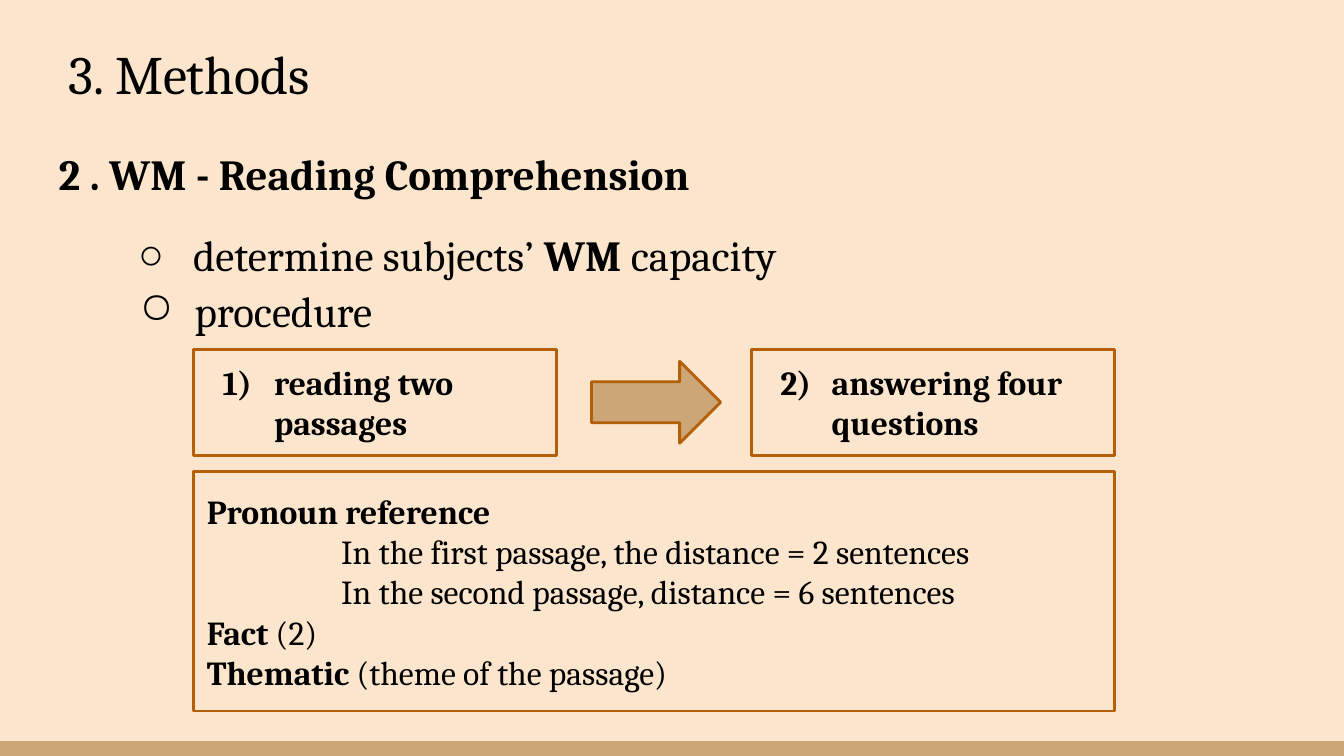
"""Build the slide on the reading comprehension method."""
from lxml import etree
from pptx import Presentation
from pptx.dml.color import RGBColor
from pptx.enum.shapes import MSO_SHAPE
from pptx.enum.text import MSO_ANCHOR, MSO_AUTO_SIZE, PP_ALIGN
from pptx.oxml.ns import qn
from pptx.util import Cm, Pt

RECTANGLE, ARROW = MSO_SHAPE.RECTANGLE, MSO_SHAPE.RIGHT_ARROW
TOP, MIDDLE = MSO_ANCHOR.TOP, MSO_ANCHOR.MIDDLE
LEFT, CENTER = PP_ALIGN.LEFT, PP_ALIGN.CENTER
NO_AUTOFIT = MSO_AUTO_SIZE.NONE

THEME = {
    "font": "Cambria", "text": "000000", "paper": "FCE5CD",
    "accent": "CCA677", "line": "B45F06", "line_width": 1.5,
    "title": 29, "body": 23, "box": 18,
}

CIRCLE = ("a:buChar", {"char": "○"})
BULLET = {"margin": 2.54, "hanging": 1.04, "bullet": CIRCLE}
INDENTED = {"margin": 2.54}

TITLE = [([("3. Methods", False)], {"align": CENTER})]
BODY = [
    ([("2 . WM - Reading Comprehension", True)], {}),
    ([("determine subjects’ ", False), ("WM", True), (" capacity", False)],
     {**BULLET, "before": 16}),
]
PROCEDURE = [([("procedure", False)], BULLET)]
STEPS = ["reading two passages", "answering four questions"]
QUESTIONS = [
    ([("Pronoun reference", True)], {}),
    ([("In the first passage, the distance = 2 sentences", False)], INDENTED),
    ([("In the second passage, distance = 6 sentences", False)], INDENTED),
    ([("Fact ", True), ("(2)", False)], {}),
    ([("Thematic ", True), ("(theme of the passage)", False)], {}),
]

SLIDE_WIDTH, SLIDE_HEIGHT, BAR_HEIGHT = 25.4, 14.29, 0.28
BOX_LEFT, BOX_RIGHT, STEP_TOP = 3.66, 21.06, 6.6
STEP_WIDTH, STEP_HEIGHT = 6.86, 2.01
ARROW_LEFT, ARROW_WIDTH, ARROW_HEIGHT = 11.18, 2.44, 1.55
QUESTIONS_TOP, QUESTIONS_HEIGHT = 8.92, 4.52


def color(name):
    return RGBColor.from_string(THEME[name])


def place(shape, left, top, width, height):
    box = {"left": left, "top": top, "width": width, "height": height}
    for name, value in box.items():
        setattr(shape, name, Cm(value))


def add_bullet(properties, bullet):
    bullet_color = etree.SubElement(properties, qn("a:buClr"))
    etree.SubElement(bullet_color, qn("a:srgbClr"), val=THEME["text"])
    tag, attributes = bullet
    etree.SubElement(properties, qn(tag), attributes)


def write(shape, paragraphs, size, anchor=TOP):
    frame = shape.text_frame
    inset = Cm(0.25)
    frame_format = {
        "word_wrap": True, "auto_size": NO_AUTOFIT, "vertical_anchor": anchor,
        "margin_left": inset, "margin_right": inset,
        "margin_top": inset, "margin_bottom": inset,
    }
    for name, value in frame_format.items():
        setattr(frame, name, value)
    for index, (runs, style) in enumerate(paragraphs):
        paragraph = frame.add_paragraph() if index else frame.paragraphs[0]
        paragraph_format = {
            "alignment": style.get("align", LEFT), "line_spacing": 1.0,
            "space_before": Pt(style.get("before", 0)), "space_after": Pt(0),
        }
        for name, value in paragraph_format.items():
            setattr(paragraph, name, value)
        properties = paragraph._p.get_or_add_pPr()
        properties.set("marL", str(Cm(style.get("margin", 0))))
        properties.set("indent", str(-Cm(style.get("hanging", 0))))
        if "bullet" in style:
            add_bullet(properties, style["bullet"])
        else:
            etree.SubElement(properties, qn("a:buNone"))
        for text, bold in runs:
            run = paragraph.add_run()
            run.text = text
            run_format = {"name": THEME["font"], "size": Pt(THEME[size]), "bold": bold}
            for name, value in run_format.items():
                setattr(run.font, name, value)
            run.font.color.rgb = color("text")


def add_shape(slide, kind, box, fill, outlined=True):
    shape = slide.shapes.add_shape(kind, *map(Cm, box))
    shape.shadow.inherit = False
    shape.fill.solid()
    shape.fill.fore_color.rgb = color(fill)
    if outlined:
        shape.line.color.rgb = color("line")
        shape.line.width = Pt(THEME["line_width"])
    else:
        shape.line.fill.background()
    return shape


presentation = Presentation()
presentation.slide_width, presentation.slide_height = Cm(SLIDE_WIDTH), Cm(SLIDE_HEIGHT)
slide = presentation.slides.add_slide(presentation.slide_layouts[1])
slide.background.fill.solid()
slide.background.fill.fore_color.rgb = color("paper")

bar = (0, SLIDE_HEIGHT - BAR_HEIGHT, SLIDE_WIDTH, BAR_HEIGHT)
add_shape(slide, RECTANGLE, bar, "accent", outlined=False)

title, body = slide.placeholders
place(title, 0, 0.51, 7.16, 2.01)
write(title, TITLE, "title")
place(body, 0.86, 2.54, 23.67, 3)
write(body, BODY, "body")

step_lefts = (BOX_LEFT, BOX_RIGHT - STEP_WIDTH)
for number, (text, left) in enumerate(zip(STEPS, step_lefts), start=1):
    step = add_shape(slide, RECTANGLE, (left, STEP_TOP, STEP_WIDTH, STEP_HEIGHT), "paper")
    numbering = ("a:buAutoNum", {"type": "arabicParenR", "startAt": str(number)})
    style = {"margin": 1.27, "hanging": 0.97, "bullet": numbering}
    write(step, [([(text, True)], style)], "box", MIDDLE)

arrow_top = STEP_TOP + (STEP_HEIGHT - ARROW_HEIGHT) / 2
add_shape(slide, ARROW, (ARROW_LEFT, arrow_top, ARROW_WIDTH, ARROW_HEIGHT), "accent")

questions_box = (BOX_LEFT, QUESTIONS_TOP, BOX_RIGHT - BOX_LEFT, QUESTIONS_HEIGHT)
questions = add_shape(slide, RECTANGLE, questions_box, "paper")
write(questions, QUESTIONS, "box", MIDDLE)

procedure = slide.shapes.add_textbox(*map(Cm, (0.89, 5.13, 23.62, 1.55)))
write(procedure, PROCEDURE, "body")

presentation.save("out.pptx")
